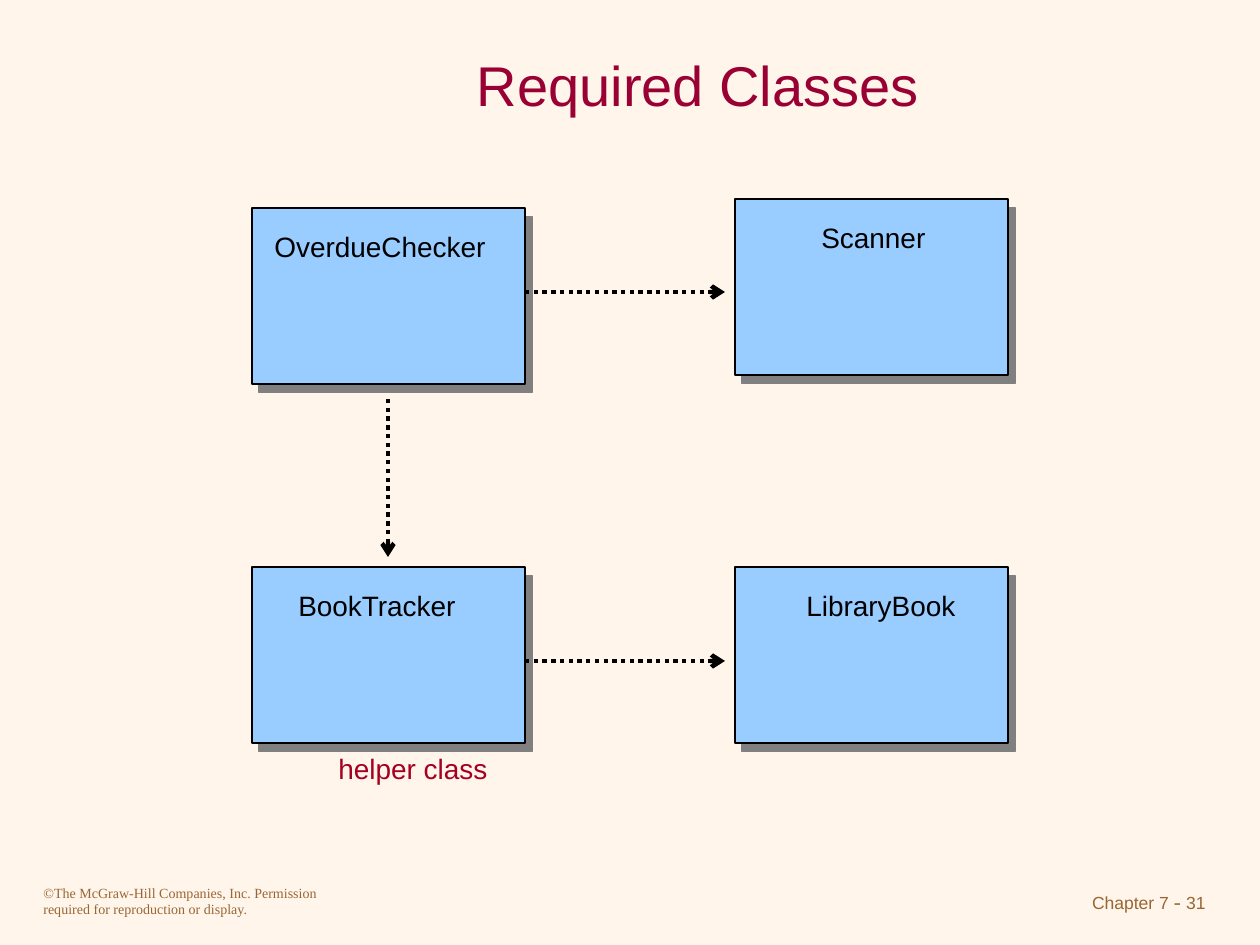
from lxml import etree
from pptx import Presentation
from pptx.dml.color import RGBColor
from pptx.enum.dml import MSO_LINE
from pptx.enum.shapes import MSO_CONNECTOR, MSO_SHAPE
from pptx.enum.text import MSO_ANCHOR, PP_ALIGN
from pptx.oxml import parse_xml
from pptx.oxml.ns import nsdecls, qn
from pptx.util import Pt

CREAM = RGBColor(0xFF, 0xF5, 0xEB)
SKY = RGBColor(0x99, 0xCC, 0xFF)
BLACK = RGBColor(0, 0, 0)
MAROON = RGBColor(0x99, 0x00, 0x33)
CRIMSON = RGBColor(0xA5, 0x00, 0x21)
BROWN = RGBColor(0x99, 0x66, 0x33)

SANS, SERIF = "Arial", "Times New Roman"
CLASS_WIDTH, CLASS_HEIGHT = 273, 176
LABEL_DROP, LABEL_HEIGHT = 15, 47

TITLE = "Required Classes"
# name, box left, box top, label left
CLASSES = [
    ("OverdueChecker", 252, 208, 262),
    ("Scanner", 735, 199, 809),
    ("LibraryBook", 735, 567, 794),
    ("BookTracker", 252, 567, 286),
]
# start x, start y, end x, end y
DEPENDENCIES = [
    (525, 661, 725, 661),
    (525, 292, 725, 292),
    (388, 399, 388, 557),
]
HELPER_NOTE = "helper class"
COPYRIGHT = ("©The McGraw-Hill Companies, Inc. Permission "
             "required for reproduction or display.")
PAGE_NUMBER = [("Chapter 7", 10, SANS), (" - ", 12, SERIF), ("31", 10, SANS)]


def px(value):
    return round(value * 914400 / 126)


def add_text(slide, runs, box, color, align=PP_ALIGN.LEFT,
             anchor=MSO_ANCHOR.TOP):
    """Add one paragraph made of (text, size, font) runs."""
    frame = slide.shapes.add_textbox(*map(px, box)).text_frame
    frame.word_wrap = True
    frame.vertical_anchor = anchor
    paragraph = frame.paragraphs[0]
    paragraph.alignment = align
    for text, size, font in runs:
        run = paragraph.add_run()
        run.text = text
        run.font.size = Pt(size)
        run.font.name = font
        run.font.color.rgb = color


def add_class(slide, name, left, top, label_left):
    """Add a class box with a label that may run to the box's right edge."""
    box = slide.shapes.add_shape(
        MSO_SHAPE.ROUNDED_RECTANGLE,
        *map(px, (left, top, CLASS_WIDTH, CLASS_HEIGHT)))
    box.adjustments[0] = 0
    box.fill.solid()
    box.fill.fore_color.rgb = SKY
    box.line.color.rgb = BLACK
    box.line.width = Pt(0.75)
    box.shadow.inherit = False
    box._element.spPr.find(qn("a:effectLst")).append(parse_xml(
        f'<a:outerShdw {nsdecls("a")} dist="{Pt(6.4)}" dir="{51 * 60000}" '
        'algn="ctr" rotWithShape="0"><a:srgbClr val="808080"/></a:outerShdw>'))
    label_width = left + CLASS_WIDTH - label_left
    add_text(slide, [(name, 16, SANS)],
             (label_left, top + LABEL_DROP, label_width, LABEL_HEIGHT), BLACK)


def add_dependency(slide, ends):
    arrow = slide.shapes.add_connector(MSO_CONNECTOR.STRAIGHT, *map(px, ends))
    arrow.line.color.rgb = BLACK
    arrow.line.width = Pt(2.5)
    arrow.line.dash_style = MSO_LINE.ROUND_DOT
    etree.SubElement(arrow.line._get_or_add_ln(), qn("a:tailEnd"), type="arrow")
    etree.SubElement(arrow._element.spPr, qn("a:effectLst"))


def main():
    deck = Presentation()
    deck.slide_width, deck.slide_height = px(1260), px(945)
    slide = deck.slides.add_slide(deck.slide_layouts[6])
    slide.background.fill.solid()
    slide.background.fill.fore_color.rgb = CREAM

    add_text(slide, [(COPYRIGHT, 8, SERIF)], (31, 878, 315, 45), BROWN)
    add_text(slide, PAGE_NUMBER, (945, 882, 273, 40), BROWN, PP_ALIGN.RIGHT)
    add_text(slide, [(TITLE, 32, SANS)], (189, 32, 1018, 105), MAROON,
             PP_ALIGN.CENTER, MSO_ANCHOR.MIDDLE)
    for class_row in CLASSES:
        add_class(slide, *class_row)
    add_text(slide, [(HELPER_NOTE, 16, SANS)], (326, 745, 200, LABEL_HEIGHT),
             CRIMSON)
    for ends in DEPENDENCIES:
        add_dependency(slide, ends)
    deck.save("out.pptx")


if __name__ == "__main__":
    main()
